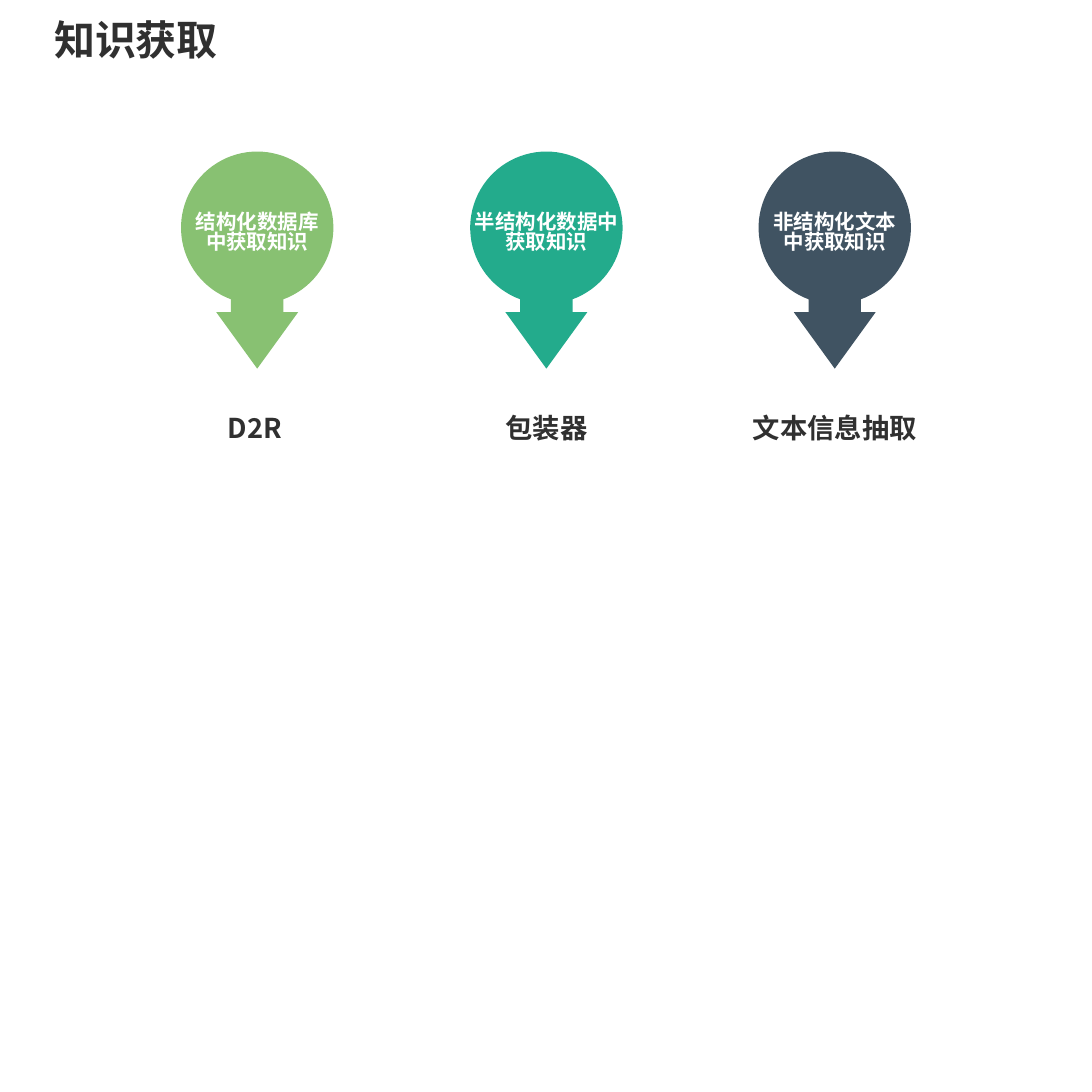
from dataclasses import dataclass
from math import asin, cos, pi, sin

from lxml.etree import SubElement
from pptx import Presentation
from pptx.dml.color import RGBColor
from pptx.enum.text import MSO_ANCHOR, MSO_AUTO_SIZE, PP_ALIGN
from pptx.oxml.ns import qn
from pptx.shapes.base import BaseShape
from pptx.slide import Slide
from pptx.util import Inches, Pt

FONT = "Noto Sans CJK SC"
INK = RGBColor(0x30, 0x30, 0x30)
WHITE = RGBColor(0xFF, 0xFF, 0xFF)
GREEN = RGBColor(0x88, 0xC1, 0x72)
TEAL = RGBColor(0x23, 0xAB, 0x8C)
SLATE = RGBColor(0x40, 0x53, 0x62)

CIRCLE_Y, RADIUS = 2.78, 0.93
NECK_HALF, NECK_BOTTOM = 0.32, 3.81
HEAD_HALF, HEAD_TIP = 0.5, 4.5
ARC_STEPS = 80


@dataclass(frozen=True)
class Method:
    center: float
    color: RGBColor
    source: str
    source_width: float
    label: str
    label_left: float
    label_width: float


METHODS = [
    Method(3.14, GREEN, "结构化数据库 中获取知识", 1.53, "D2R", 2.78, 0.73),
    Method(6.67, TEAL, "半结构化数据中 获取知识", 1.78, "包装器", 6.17, 1.03),
    Method(10.19, SLATE, "非结构化文本 中获取知识", 1.53, "文本信息抽取", 9.19, 2.03),
]


def place(shape: BaseShape, left: float, top: float, width: float, height: float) -> None:
    shape.left, shape.top = Inches(left), Inches(top)
    shape.width, shape.height = Inches(width), Inches(height)


def write(box: BaseShape, text: str, size: int, color: RGBColor,
          align: PP_ALIGN = PP_ALIGN.LEFT, wrap: bool = False, spacing: float = 1.0) -> None:
    frame = box.text_frame
    frame.text = text
    frame.word_wrap = wrap
    frame.auto_size = MSO_AUTO_SIZE.NONE
    frame.vertical_anchor = MSO_ANCHOR.MIDDLE
    frame.margin_left = frame.margin_right = frame.margin_top = frame.margin_bottom = 0
    para = frame.paragraphs[0]
    para.alignment = align
    para.line_spacing = spacing
    para.space_before = Pt(0)
    span = para.runs[0]
    span.font.name = FONT
    span.font.size = Pt(size)
    span.font.bold = True
    span.font.color.rgb = color
    SubElement(span._r.get_or_add_rPr(), qn("a:ea"), typeface=FONT)


def add_text(page: Slide, left: float, top: float, width: float, height: float) -> BaseShape:
    return page.shapes.add_textbox(Inches(left), Inches(top), Inches(width), Inches(height))


def draw_pin(page: Slide, center: float, color: RGBColor) -> None:
    def point(x: float, y: float) -> tuple[int, int]:
        return Inches(center + x), Inches(y)

    opening = asin(NECK_HALF / RADIUS)
    sweep = 2 * (pi - opening)
    angles = [opening + sweep * step / ARC_STEPS for step in range(ARC_STEPS + 1)]
    arc = [point(RADIUS * sin(angle), CIRCLE_Y + RADIUS * cos(angle)) for angle in angles]
    neck = [point(-NECK_HALF, NECK_BOTTOM), point(NECK_HALF, NECK_BOTTOM)]

    outline = page.shapes.build_freeform(*point(HEAD_HALF, NECK_BOTTOM))
    outline.add_line_segments([point(-HEAD_HALF, NECK_BOTTOM), point(0, HEAD_TIP)])
    outline.move_to(*arc[0])
    outline.add_line_segments(arc[1:] + neck)
    pin = outline.convert_to_shape()
    pin.shadow.inherit = False
    pin.fill.solid()
    pin.fill.fore_color.rgb = color
    pin.line.fill.background()


def draw_method(page: Slide, method: Method) -> None:
    draw_pin(page, method.center, method.color)
    source_left = method.center - method.source_width / 2
    source = add_text(page, source_left, 2.55, method.source_width, 0.61)
    write(source, method.source, 18, WHITE, PP_ALIGN.CENTER, wrap=True, spacing=0.81)
    label = add_text(page, method.label_left, 5.02, method.label_width, 0.41)
    write(label, method.label, 24, INK)


def main() -> None:
    deck = Presentation()
    deck.slide_width = deck.slide_height = Inches(13.33)
    page = deck.slides.add_slide(deck.slide_layouts[5])
    title = page.shapes.title
    place(title, 0.66, 0.17, 2.03, 0.61)
    write(title, "知识获取", 36, INK)
    for method in METHODS:
        draw_method(page, method)
    deck.save("out.pptx")


if __name__ == "__main__":
    main()
